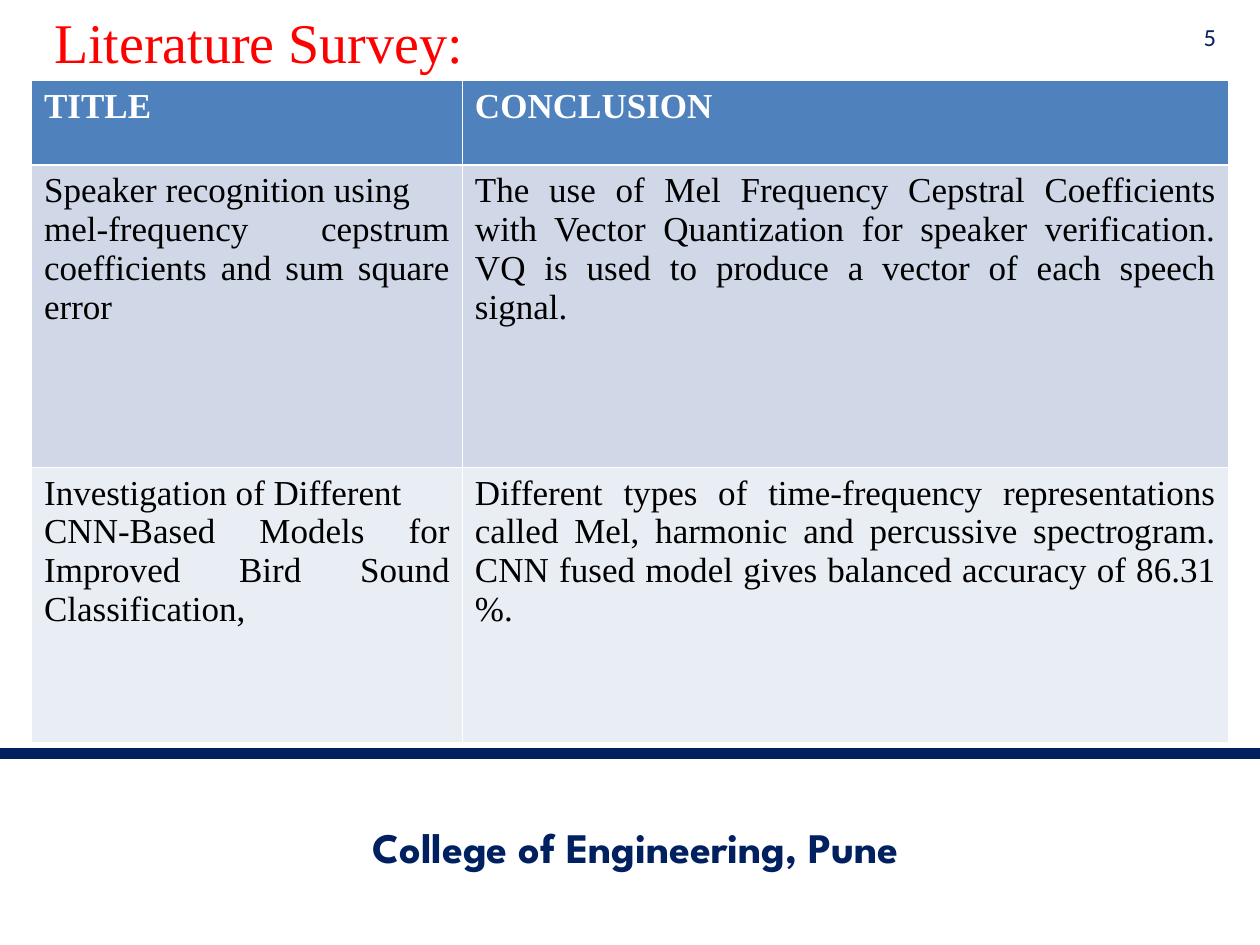
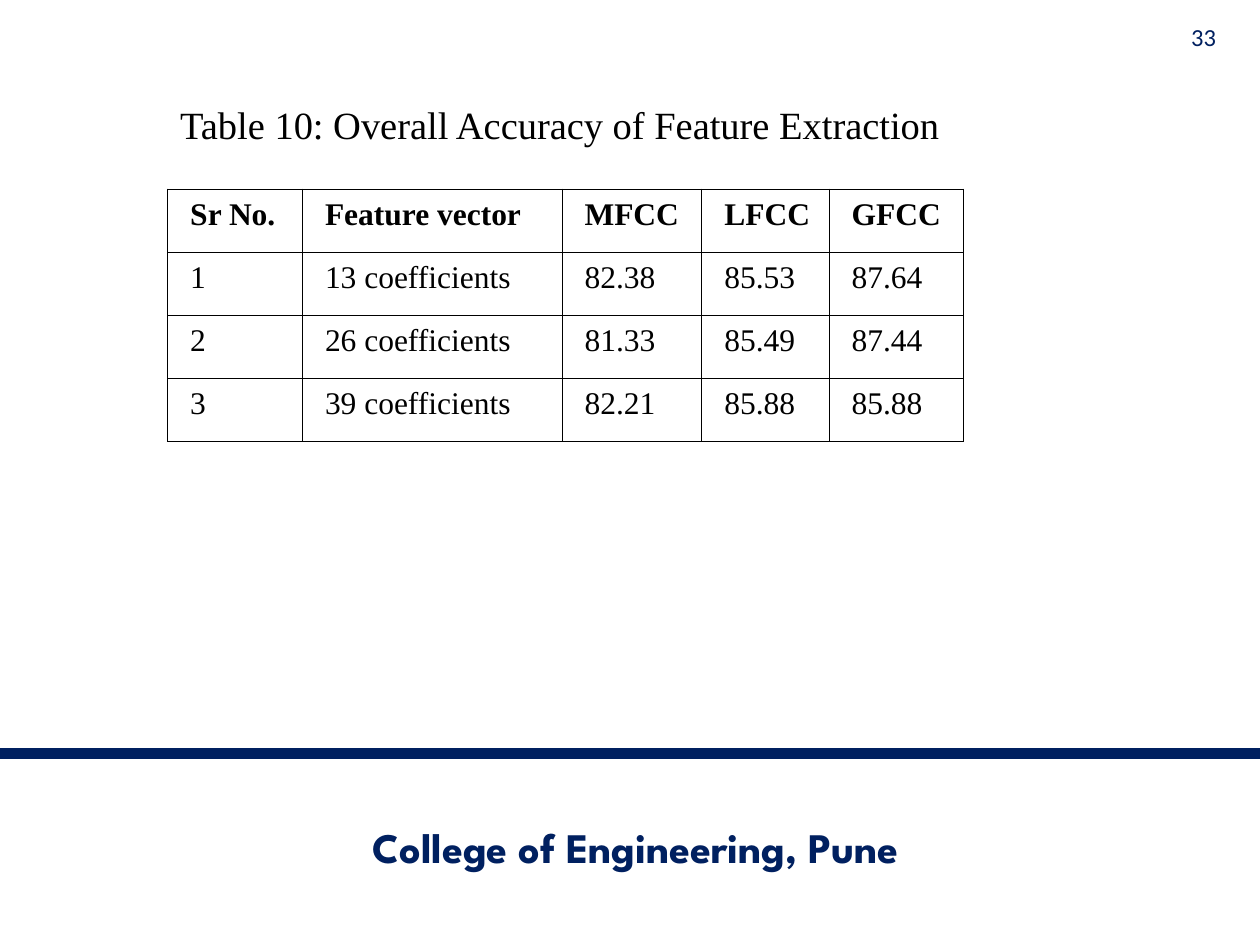
from lxml import etree
from pptx import Presentation
from pptx import util as u
from pptx.dml.color import RGBColor
from pptx.enum import shapes, text
from pptx.oxml.ns import qn

PX = 9144
NAVY, RED, BLACK, WHITE = "002060", "FF0000", "000000", "FFFFFF"
HEADER_BLUE, BAND_DARK, BAND_LIGHT = "4F81BD", "D0D8E8", "E9EDF4"
SERIF, SANS, DISPLAY = "Times New Roman", "Calibri", "League Spartan"
LEFT, CENTER = text.PP_ALIGN.LEFT, text.PP_ALIGN.CENTER
RIGHT, JUSTIFY = text.PP_ALIGN.RIGHT, text.PP_ALIGN.JUSTIFY

SURVEY = [
    ["TITLE", "CONCLUSION"],
    ["Speaker recognition using\n"
     "mel-frequency cepstrum coefficients and sum square error",
     "The use of Mel Frequency Cepstral Coefficients with Vector Quantization "
     "for speaker verification. VQ is used to produce a vector of each speech signal."],
    ["Investigation of Different\n"
     "CNN-Based Models for Improved Bird Sound Classification,",
     "Different types of time-frequency representations called Mel, harmonic and "
     "percussive spectrogram. CNN fused model gives balanced accuracy of 86.31 %."],
]
ACCURACY = [
    ["Sr No.", "Feature vector", "MFCC", "LFCC", "GFCC"],
    ["1", "13 coefficients", "82.38", "85.53", "87.64"],
    ["2", "26 coefficients", "81.33", "85.49", "87.44"],
    ["3", "39 coefficients", "82.21", "85.88", "85.88"],
]


def px(length):
    """Turn px into EMU."""
    return u.Emu(length * PX)


def rgb(value):
    """Turn a hex string into a colour."""
    return RGBColor.from_string(value)


def write(frame, words, size=18, font=SERIF, color=BLACK, bold=False, align=LEFT):
    """Fill a text frame with one paragraph per line of words."""
    for number, line in enumerate(words.split("\n")):
        para = frame.add_paragraph() if number else frame.paragraphs[0]
        para.alignment = align
        para.space_before = u.Pt(0)
        span = para.add_run()
        span.text = line
        span.font.size = u.Pt(size)
        span.font.name = font
        span.font.bold = bold
        span.font.color.rgb = rgb(color)


def place(box, left, top, width, height):
    """Move and size a shape."""
    box.left, box.top = px(left), px(top)
    box.width, box.height = px(width), px(height)


def add_title(page, words, area, **style):
    """Set the title placeholder."""
    box = page.shapes.title
    place(box, *area)
    frame = box.text_frame
    frame.word_wrap = True
    frame.auto_size = text.MSO_AUTO_SIZE.NONE
    frame.vertical_anchor = text.MSO_ANCHOR.BOTTOM
    write(frame, words, **style)


def add_label(page, words, area, **style):
    """Add a text box centred on its height."""
    frame = page.shapes.add_textbox(*map(px, area)).text_frame
    frame.word_wrap = True
    frame.vertical_anchor = text.MSO_ANCHOR.MIDDLE
    write(frame, words, **style)


def add_rule(page, top):
    """Draw the navy line above the footer."""
    rule = page.shapes.add_connector(
        shapes.MSO_CONNECTOR.STRAIGHT, px(0), px(top), px(1000), px(top))
    rule.line.color.rgb = rgb(NAVY)
    rule.line.width = u.Pt(6.5)
    etree.SubElement(rule._element.spPr, qn("a:effectLst"))


def add_page(deck, number):
    """Add a slide with its rule, footer and number."""
    page = deck.slides.add_slide(deck.slide_layouts[5])
    add_rule(page, 598)
    add_label(page, "College of Engineering, Pune", (242, 652, 525, 40),
              size=24, font=DISPLAY, color=NAVY, bold=True, align=CENTER)
    add_label(page, str(number), (925, 15, 50, 28),
              size=14, font=SANS, color=NAVY, align=RIGHT)
    return page


def set_borders(cell, color, **widths):
    """Draw the four cell borders, with widths in points by side."""
    properties = cell._tc.get_or_add_tcPr()
    for side in "LRTB":
        width = u.Pt(widths.get(side, 0.45))
        line = etree.SubElement(properties, qn("a:ln" + side), w=str(width))
        fill = etree.SubElement(line, qn("a:solidFill"))
        etree.SubElement(fill, qn("a:srgbClr"), val=color)


def add_grid(page, rows, left, top, widths, heights):
    """Add a table and return it with its text still to be written."""
    area = (left, top, sum(widths), sum(heights))
    table = page.shapes.add_table(len(rows), len(widths), *map(px, area)).table
    table.horz_banding = False
    for column, width in zip(table.columns, widths):
        column.width = px(width)
    for row, height in zip(table.rows, heights):
        row.height = px(height)
    return table


def add_survey(page):
    """Add the table of surveyed papers."""
    table = add_grid(page, SURVEY, 25, 64, [342, 608], [67, 240, 218])
    fills = [HEADER_BLUE, BAND_DARK, BAND_LIGHT]
    edges = [{"B": 1.47}, {"T": 1.47}, {}]
    for r, (row, fill, edge) in enumerate(zip(SURVEY, fills, edges)):
        for c, words in enumerate(row):
            cell = table.cell(r, c)
            set_borders(cell, WHITE, **edge)
            cell.fill.solid()
            cell.fill.fore_color.rgb = rgb(fill)
            write(cell.text_frame, words, size=20, bold=r == 0, align=JUSTIFY,
                  color=BLACK if r else WHITE)


def add_accuracy(page):
    """Add the table of accuracy for each feature vector."""
    widths = [107, 206, 111, 101, 107]
    table = add_grid(page, ACCURACY, 133, 150, widths, [50] * len(ACCURACY))
    for r, row in enumerate(ACCURACY):
        for c, words in enumerate(row):
            cell = table.cell(r, c)
            cell.margin_left, cell.margin_top = px(18), px(7)
            cell.margin_right = px(5)
            set_borders(cell, BLACK)
            cell.fill.background()
            write(cell.text_frame, words, bold=r == 0)


def main():
    """Build the two slides."""
    deck = Presentation()
    deck.slide_width, deck.slide_height = px(1000), px(750)

    page = add_page(deck, 5)
    add_title(page, "Literature Survey:", (33, 0, 542, 64), size=32, color=RED)
    add_survey(page)

    page = add_page(deck, 33)
    add_title(page, "Table 10: Overall Accuracy of Feature Extraction",
              (133, 75, 775, 47), size=22)
    add_accuracy(page)

    deck.save("out.pptx")


if __name__ == "__main__":
    main()
